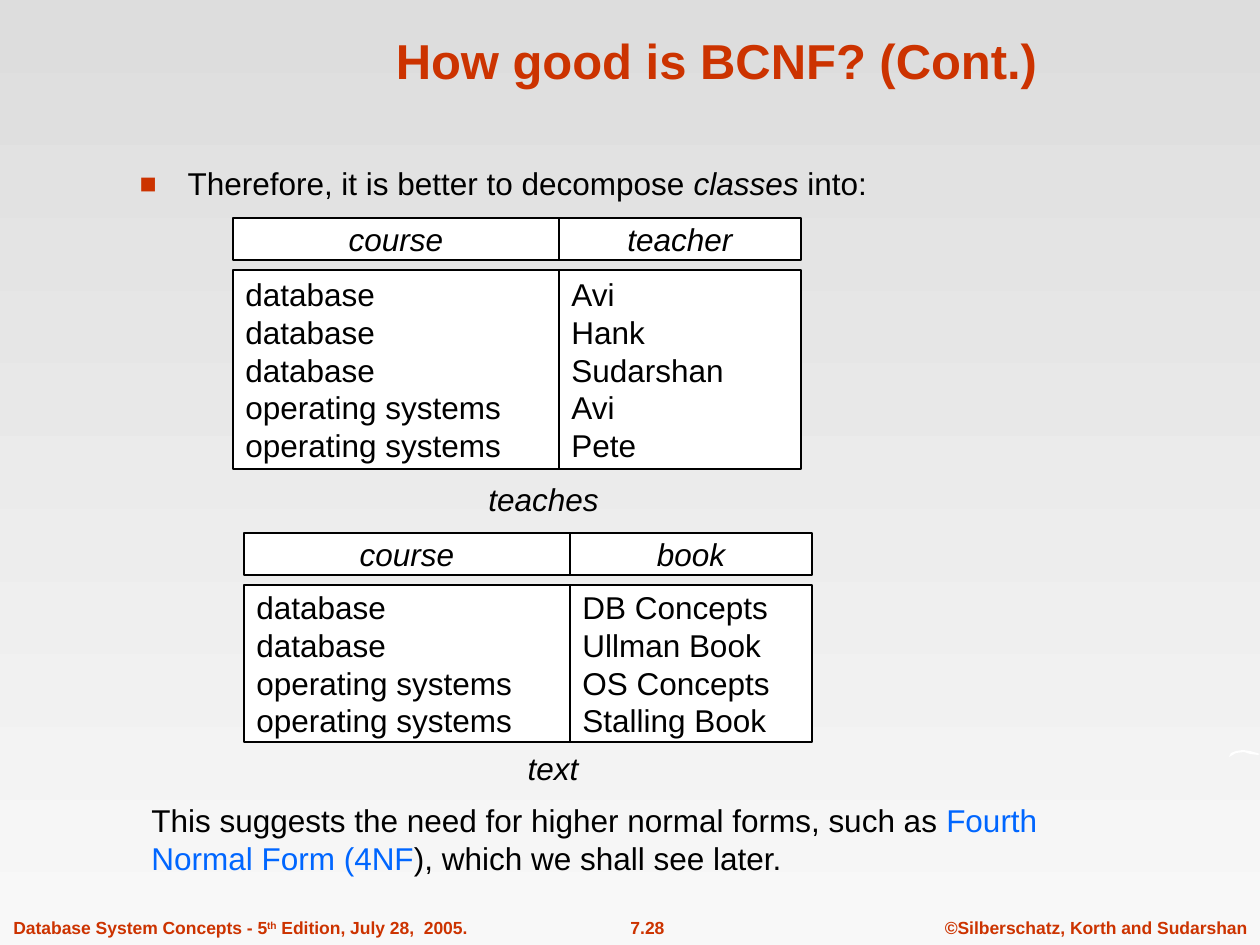
from lxml.etree import SubElement
from pptx import Presentation
from pptx.dml.color import RGBColor
from pptx.enum.shapes import MSO_SHAPE as SHAPE
from pptx.enum.text import MSO_ANCHOR as ANCHOR, MSO_AUTO_SIZE as AUTO, PP_ALIGN as ALIGN
from pptx.oxml.ns import qn
from pptx.util import Pt

PX = 914400 / 126
COLORS = {"red": "CC3300", "black": "000000", "blue": "0066FF", "white": "FFFFFF",
          "top": "DDDDDD", "bottom": "F8F8F8"}

TITLE = "How good is BCNF? (Cont.)"
BULLET = [("Therefore, it is better to decompose ", {}), ("classes ", {"italic": True}),
          ("into:", {})]
CLOSING = [("This suggests the need for higher normal forms, such as ", {}),
           ("Fourth Normal Form (4NF", {"color": "blue"}),
           ("), which we shall see later.", {})]

COLUMN_WIDTHS = (326, 242)
HEADER_HEIGHT, BODY_OFFSET = 42, 52
# left, top, body height, columns (header, values), caption, caption box
RELATIONS = [
    (233, 218, 199,
     [("course", ["database"] * 3 + ["operating systems"] * 2),
      ("teacher", ["Avi", "Hank", "Sudarshan", "Avi", "Pete"])],
     "teaches", (476, 474, 135, 50)),
    (244, 533, 157,
     [("course", ["database"] * 2 + ["operating systems"] * 2),
      ("book", ["DB Concepts", "Ullman Book", "OS Concepts", "Stalling Book"])],
     "text", (515, 743, 76, 50)),
]

FOOTERS = [
    ([("Database System Concepts - 5", {}), ("th", {"raised": True}),
      (" Edition, July 28,  2005.", {})], (1, 911, 479, 34), ALIGN.LEFT),
    ([("7.28", {})], (586, 911, 123, 34), ALIGN.CENTER),
    ([("©Silberschatz, Korth and Sudarshan", {})], (932, 911, 328, 34), ALIGN.CENTER),
]
SWOOSH = [(1229, 757), (1231, 753), (1236, 751), (1243, 750), (1250, 751), (1257, 753),
          (1260, 754), (1258, 755), (1250, 754), (1244, 752), (1236, 753), (1231, 756)]


def px(*lengths):
    return [round(n * PX) for n in lengths]


def rgb(name):
    return RGBColor.from_string(COLORS[name])


def write(tf, lines, align=ALIGN.LEFT, anchor=ANCHOR.TOP, wrap=False, **base):
    """Fill a frame with lines, each a list of (text, format) runs."""
    for name, value in {"auto_size": AUTO.NONE, "word_wrap": wrap,
                        "vertical_anchor": anchor}.items():
        setattr(tf, name, value)
    for i, runs in enumerate(lines):
        p = tf.add_paragraph() if i else tf.paragraphs[0]
        p.alignment, p.space_before = align, Pt(0)
        for text, extra in runs:
            r = p.add_run()
            r.text = text
            style = {"name": "Arial", "size": 18, "color": "black", "bold": False,
                     "italic": False, **base, **extra}
            r.font.color.rgb = rgb(style.pop("color"))
            style["size"] = Pt(style["size"])
            if style.pop("raised", False):
                r.font._element.set("baseline", "30000")
            for name, value in style.items():
                setattr(r.font, name, value)


def place(shape, box):
    shape.left, shape.top, shape.width, shape.height = px(*box)


def add_text(s, box, lines, **fmt):
    write(s.shapes.add_textbox(*px(*box)).text_frame, lines, **fmt)


def add_cell(s, box, lines, **fmt):
    sp = s.shapes.add_shape(SHAPE.RECTANGLE, *px(*box))
    sp.shadow.inherit = False
    sp.fill.solid()
    sp.fill.fore_color.rgb = rgb("white")
    sp.line.color.rgb = rgb("black")
    sp.line.width = Pt(0.75)
    write(sp.text_frame, lines, anchor=ANCHOR.MIDDLE, **fmt)


def add_relation(s, left, top, height, columns, caption, caption_box):
    for width, (header, values) in zip(COLUMN_WIDTHS, columns):
        add_cell(s, (left, top, width, HEADER_HEIGHT), [[(header, {})]],
                 align=ALIGN.CENTER, italic=True)
        add_cell(s, (left, top + BODY_OFFSET, width, height), [[(v, {})] for v in values])
        left += width
    add_text(s, caption_box, [[(caption, {})]], align=ALIGN.CENTER,
             anchor=ANCHOR.MIDDLE, italic=True)


def set_bullet(p):
    pPr = p._p.get_or_add_pPr()
    indent = px(48)[0]
    pPr.set("marL", str(indent))
    pPr.set("indent", str(-indent))
    color = SubElement(pPr, qn("a:buClr"))
    SubElement(color, qn("a:srgbClr"), val=COLORS["red"])
    SubElement(pPr, qn("a:buSzPct"), val="90000")
    SubElement(pPr, qn("a:buFont"), typeface="Arial")
    SubElement(pPr, qn("a:buChar"), char="■")


def add_swoosh(s):
    builder = s.shapes.build_freeform(*SWOOSH[0], scale=PX)
    builder.add_line_segments(SWOOSH[1:], close=True)
    sp = builder.convert_to_shape()
    sp.shadow.inherit = False
    sp.fill.solid()
    sp.fill.fore_color.rgb = rgb("white")
    sp.line.fill.background()


def main():
    prs = Presentation()
    prs.slide_width, prs.slide_height = px(1260, 945)
    s = prs.slides.add_slide(prs.slide_layouts[1])

    fill = s.background.fill
    fill.gradient()
    fill.gradient_angle = 270
    for stop, name in zip(fill.gradient_stops, ("top", "bottom")):
        stop.color.rgb = rgb(name)

    for runs, box, align in FOOTERS:
        add_text(s, box, [runs], align=align, size=10, color="red", bold=True)
    add_swoosh(s)

    title, body = s.shapes.title, s.placeholders[1]
    place(title, (226, 16, 981, 80))
    write(title.text_frame, [[(TITLE, {})]], align=ALIGN.CENTER, anchor=ANCHOR.BOTTOM,
          wrap=True, size=28, color="red", bold=True)
    place(body, (127, 158, 926, 73))
    write(body.text_frame, [BULLET], wrap=True)
    set_bullet(body.text_frame.paragraphs[0])

    for relation in RELATIONS:
        add_relation(s, *relation)
    add_text(s, (139, 795, 926, 73), [CLOSING], wrap=True)
    prs.save("out.pptx")


if __name__ == "__main__":
    main()
